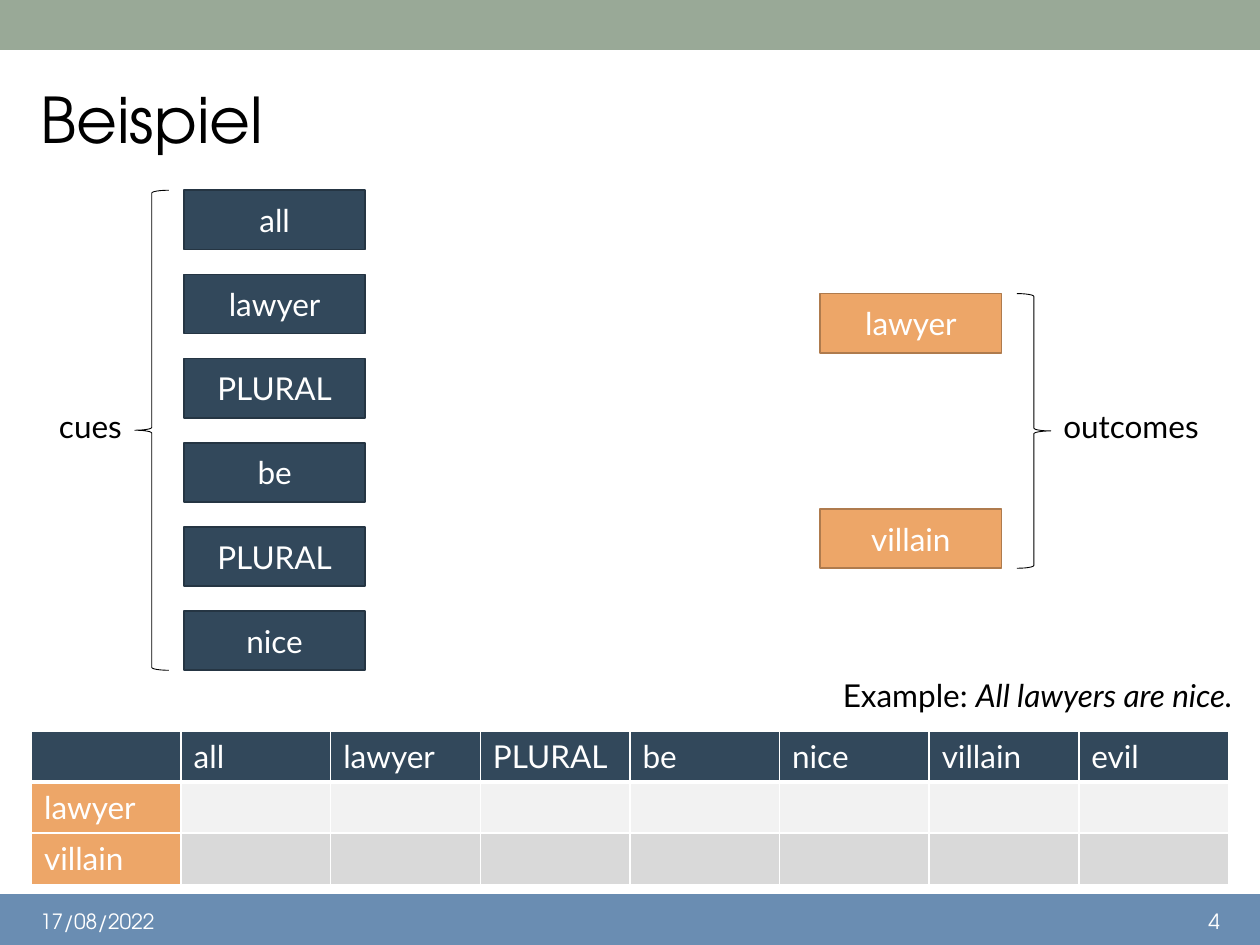
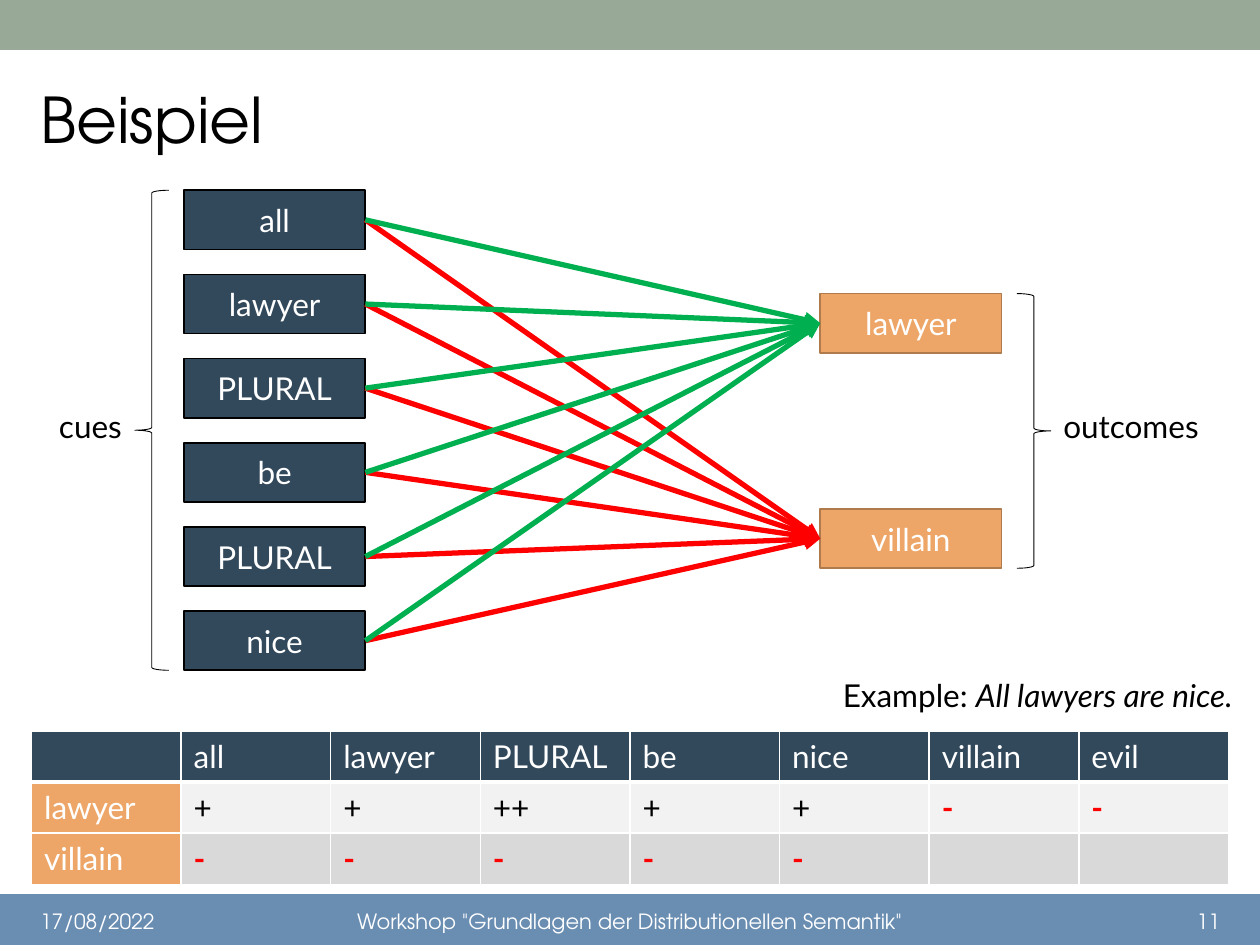
from dataclasses import dataclass

from lxml import etree
from pptx import Presentation
from pptx.dml.color import RGBColor
from pptx.enum.shapes import MSO_CONNECTOR, MSO_SHAPE
from pptx.enum.text import MSO_ANCHOR, MSO_AUTO_SIZE, PP_ALIGN
from pptx.oxml.ns import qn
from pptx.util import Inches, Pt

RECT, BRACE = MSO_SHAPE.RECTANGLE, MSO_SHAPE.LEFT_BRACE
STRAIGHT = MSO_CONNECTOR.STRAIGHT
LEFT, CENTER, RIGHT = PP_ALIGN.LEFT, PP_ALIGN.CENTER, PP_ALIGN.RIGHT
MIDDLE, TOP = MSO_ANCHOR.MIDDLE, MSO_ANCHOR.TOP
NO_FIT, GROW = MSO_AUTO_SIZE.NONE, MSO_AUTO_SIZE.SHAPE_TO_FIT_TEXT
WEST, EAST = 1, 3  # connection sites of a rectangle


@dataclass(frozen=True)
class Theme:
    head: str = "TeX Gyre Adventor"
    body: str = "Lato"
    title_size: int = 36
    text_size: int = 18
    foot_size: int = 12
    white: str = "FFFFFF"
    black: str = "000000"
    sage: str = "99A997"
    blue: str = "6A8DB2"
    navy: str = "32485B"
    navy_edge: str = "253543"
    orange: str = "EDA668"
    orange_edge: str = "AF7B4D"
    light: str = "F2F2F2"
    gray: str = "D9D9D9"
    red: str = "FF0000"
    green: str = "00B050"


T = Theme()

CUES = ["all", "lawyer", "PLURAL", "be", "PLURAL", "nice"]
GOALS = ["lawyer", "villain"]
HEADS = ["", "all", "lawyer", "PLURAL", "be", "nice", "villain", "evil"]
BLANK = [[""] * 7, [""] * 7]
SIGNS = [["+", "+", "++", "+", "+", "-", "-"], ["-"] * 5 + [""] * 2]

# Diagram grid, in inches
BOX_W, BOX_H = 1.44, 0.47
CUE_X, CUE_Y, CUE_STEP = 1.46, 1.51, 0.668
GOAL_X, GOAL_Y, GOAL_STEP = 6.51, 2.33, 1.71


def rgb(color):
    return RGBColor.from_string(color)


def inches(*sizes):
    return [Inches(size) for size in sizes]


# Text
def style(frame, color, size=T.text_size, font=T.body, align=LEFT, bold=False):
    for para in frame.paragraphs:
        para.alignment = align
        for run in para.runs:
            run.font.name = font
            run.font.size = Pt(size)
            run.font.bold = bold
            run.font.color.rgb = rgb(color)


def add_label(slide, text, x, y, w, wrap=True):
    frame = slide.shapes.add_textbox(*inches(x, y, w, 0.4)).text_frame
    frame.text = text
    frame.word_wrap = wrap
    frame.auto_size = GROW
    frame.vertical_anchor = TOP
    style(frame, T.black)
    return frame


def add_foot(slide, text, x, w, align):
    frame = slide.shapes.add_textbox(*inches(x, 7.19, w, 0.24)).text_frame
    frame.text = text
    frame.word_wrap = True
    frame.vertical_anchor = MIDDLE
    style(frame, T.white, T.foot_size, T.head, align)


def add_title(slide, text):
    title = slide.shapes.title
    title.left, title.top, title.width, title.height = inches(
        0.22, 0.54, 8.62, 0.79)
    frame = title.text_frame
    frame.text = text
    frame.auto_size = NO_FIT
    frame.vertical_anchor = MIDDLE
    style(frame, T.black, T.title_size, T.head)


# Shapes
def add_box(slide, text, x, y, w, h, fill, edge):
    box = slide.shapes.add_shape(RECT, *inches(x, y, w, h))
    box.shadow.inherit = False
    box.fill.solid()
    box.fill.fore_color.rgb = rgb(fill)
    box.line.color.rgb = rgb(edge)
    box.line.width = Pt(1)
    if text:
        box.text_frame.text = text
        box.text_frame.vertical_anchor = MIDDLE
        style(box.text_frame, T.white, align=CENTER)
    return box


def add_stack(slide, words, x, y, step, fill, edge):
    return [add_box(slide, word, x, y + i * step, BOX_W, BOX_H, fill, edge)
            for i, word in enumerate(words)]


def add_brace(slide, x, y, h, turn=0):
    brace = slide.shapes.add_shape(BRACE, *inches(x, y, 0.27, h))
    brace.shadow.inherit = False
    brace.rotation = turn
    brace.fill.background()
    brace.line.color.rgb = rgb(T.black)
    brace.line.width = Pt(0.5)


def add_arrow(slide, start, end, color):
    arrow = slide.shapes.add_connector(STRAIGHT, 0, 0, 0, 0)
    arrow.begin_connect(start, EAST)
    arrow.end_connect(end, WEST)
    arrow.line.color.rgb = rgb(color)
    arrow.line.width = Pt(3)
    props = arrow.element.spPr
    etree.SubElement(props.find(qn("a:ln")), qn("a:tailEnd"), type="triangle")
    etree.SubElement(props, qn("a:effectLst"))


# Table
def set_edges(cell, below):
    props = cell._tc.get_or_add_tcPr()
    widths = {"a:lnL": 1, "a:lnR": 1, "a:lnT": 1, "a:lnB": below}
    for i, (tag, width) in enumerate(widths.items()):
        line = etree.Element(qn(tag), w=str(Pt(width)))
        fill = etree.SubElement(line, qn("a:solidFill"))
        etree.SubElement(fill, qn("a:srgbClr"), val=T.white)
        props.insert(i, line)


def fill_cell(cell, text, fill, color, below=1):
    cell.fill.solid()
    cell.fill.fore_color.rgb = rgb(fill)
    set_edges(cell, below)
    if text:
        cell.text = text
        style(cell.text_frame, color, bold=text == "-")


def add_grid(slide, marks):
    table = slide.shapes.add_table(
        3, len(HEADS), *inches(0.25, 5.8, 9.5, 1.22)).table
    table.first_row = table.horz_banding = False
    for col, head in enumerate(HEADS):
        fill_cell(table.cell(0, col), head, T.navy, T.white, below=3)
    rows = zip(GOALS, marks, [T.light, T.gray])
    for row, (goal, signs, shade) in enumerate(rows, 1):
        fill_cell(table.cell(row, 0), goal, T.orange, T.white)
        for col, sign in enumerate(signs, 1):
            color = T.red if sign == "-" else T.black
            fill_cell(table.cell(row, col), sign, shade, color)


# Slide parts
def add_bands(slide):
    """Move both bands to the layout, so that all slides share them."""
    tree = slide.slide_layout.shapes.element
    for y, color in [(7.1, T.blue), (0, T.sage)]:
        band = add_box(slide, "", 0, y, 10, 0.39, color, color)
        tree.insert(2, band.element)


def add_net(slide, edge, linked):
    cues = add_stack(slide, CUES, CUE_X, CUE_Y, CUE_STEP, T.navy, edge)
    goals = add_stack(slide, GOALS, GOAL_X, GOAL_Y, GOAL_STEP,
                      T.orange, T.orange_edge)
    add_brace(slide, 1.07, CUE_Y, 5 * CUE_STEP + BOX_H)
    add_brace(slide, 8.07, GOAL_Y, GOAL_STEP + BOX_H, turn=180)
    add_label(slide, "cues", 0.37, 3.18, 0.7, wrap=False)
    add_label(slide, "outcomes", 8.34, 3.18, 1.28, wrap=False)
    if linked:
        lawyer, villain = goals
        for goal, color in [(villain, T.red), (lawyer, T.green)]:
            for cue in cues:
                add_arrow(slide, cue, goal, color)


def add_example(slide):
    frame = add_label(slide, "Example: ", 6.59, 5.32, 3.41)
    run = frame.paragraphs[0].add_run()
    run.text = "All lawyers are nice."
    style(frame, T.black)
    run.font.italic = True


def add_page(deck, layout, number, marks, edge, linked=False, foot=""):
    slide = deck.slides.add_slide(layout)
    add_title(slide, "Beispiel")
    add_foot(slide, "17/08/2022", 0.22, 2.25, LEFT)
    if foot:
        add_foot(slide, foot, 2.68, 4.64, CENTER)
    add_foot(slide, number, 7.53, 2.25, RIGHT)
    add_net(slide, edge, linked)
    add_example(slide)
    add_grid(slide, marks)
    return slide


def main():
    deck = Presentation()
    deck.slide_width, deck.slide_height = inches(10, 7.5)
    layout = deck.slide_layouts[5]  # title only
    first = add_page(deck, layout, "4", BLANK, T.navy_edge)
    add_bands(first)
    add_page(deck, layout, "11", SIGNS, T.black, linked=True,
             foot='Workshop "Grundlagen der Distributionellen Semantik"')
    deck.save("out.pptx")


main()
